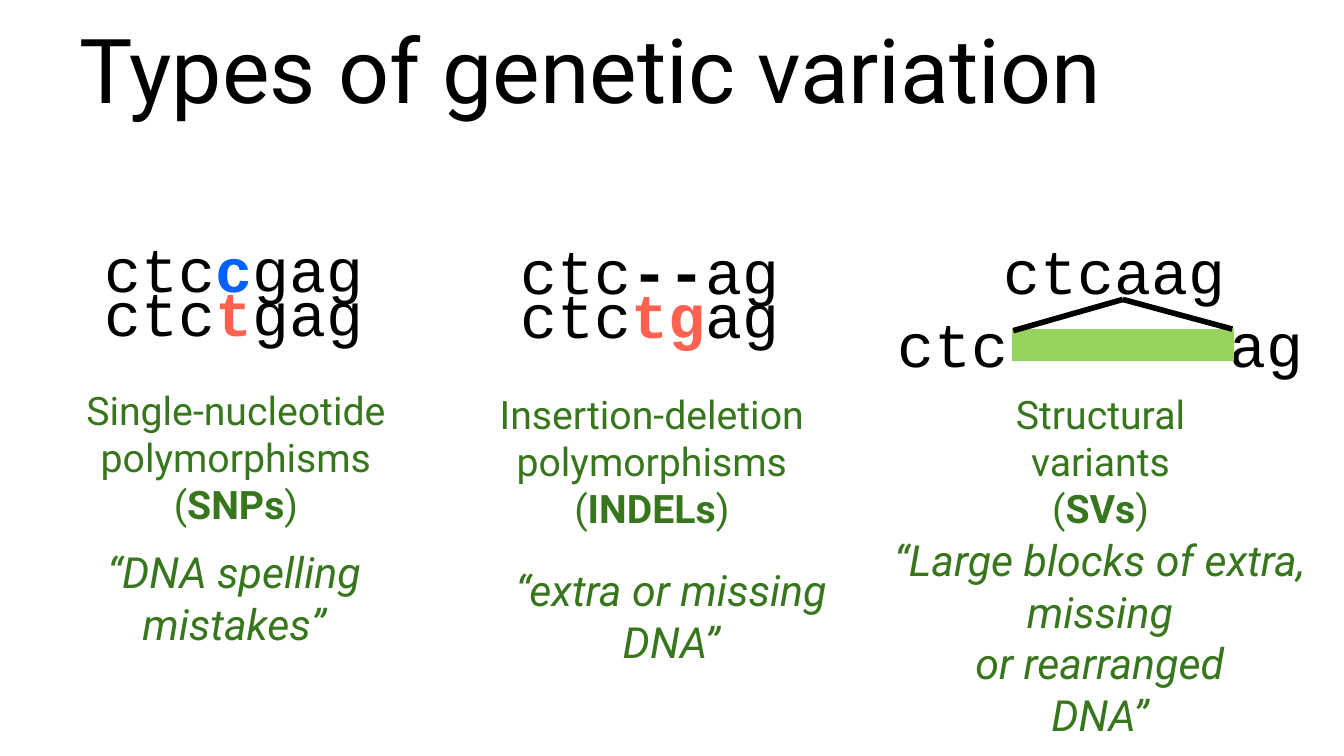
import pptx
import pptx.util
import pptx.dml.color
import pptx.enum.shapes
import pptx.enum.text
import pptx.oxml
import pptx.oxml.ns
from pptx.util import Cm

THEME = {
    "text": "000000", "label": "38761D", "changed": "FF6251",
    "reference": "0061FF", "block": "96D35F",
    "sans": "Roboto", "mono": "Courier New",
    "title_size": 48, "sequence_size": 33, "name_size": 21, "quote_size": 23,
    "inset": 0.1, "line_width": 3,
}

TITLE = "Types of genetic variation"
TITLE_BOX = (1.4, 0.38, 22.58, 1.78)

# A paragraph is a list of runs: (text, optional format).
# Each "at" is centre x, top, width, height in cm.
CHANGED = {"bold": True, "color": THEME["changed"]}
REFERENCE = {"bold": True, "color": THEME["reference"]}
BOLD = {"bold": True}
VARIANTS = [
    {
        "sequences": [
            {"runs": [("ctc",), ("t", CHANGED), ("gag",)], "at": (4.42, 5.28, 5.54, 1.22)},
            {"runs": [("ctc",), ("c", REFERENCE), ("gag",)], "at": (4.42, 4.45, 5.54, 1.22)},
        ],
        "name": ["Single-nucleotide", "polymorphisms"], "abbreviation": "SNPs",
        "name_at": (4.46, 7.47, 6.32, 2.34),
        "quote": ["“DNA spelling mistakes”"], "quote_at": (4.43, 10.82, 7.39, 0.94),
    },
    {
        "sequences": [
            {"runs": [("ctc",), ("tg", CHANGED), ("ag",)], "at": (12.29, 5.33, 5.54, 1.22)},
            {"runs": [("ctc",), ("--", BOLD), ("ag",)], "at": (12.29, 4.5, 5.54, 1.22)},
        ],
        "name": ["Insertion-deletion", "polymorphisms"], "abbreviation": "INDELs",
        "name_at": (12.32, 7.54, 6.3, 2.34),
        "quote": ["“extra or missing", "DNA”"], "quote_at": (12.69, 10.77, 6.88, 1.73),
    },
    {
        "sequences": [
            {"runs": [("ctc\tag",)], "at": (20.8, 5.87, 8.59, 1.22),
             "tab": 6.29, "left_inset": 0.45},
            {"runs": [("ctcaag",)], "at": (21.07, 4.5, 4.55, 1.22)},
        ],
        "name": ["Structural", "variants"], "abbreviation": "SVs",
        "name_at": (20.8, 7.54, 3.96, 2.34),
        "quote": ["“Large blocks of extra, missing", "or rearranged", "DNA”"],
        "quote_at": (20.79, 10.77, 8.46, 2.54),
    },
]
INSERTED_BLOCK = (19.13, 6.22, 4.19, 0.61)
INSERTION_POINT = (21.22, 5.66)
BLOCK_ENDS = [(19.15, 6.25), (23.29, 6.22)]


def rgb(color):
    return pptx.dml.color.RGBColor.from_string(color)


def write_text(frame, paragraphs, *, size, font, color, italic=None,
               align=pptx.enum.text.PP_ALIGN.CENTER, tab=None, left_inset=None):
    frame.word_wrap = True
    frame.auto_size = pptx.enum.text.MSO_AUTO_SIZE.NONE
    frame.vertical_anchor = pptx.enum.text.MSO_ANCHOR.MIDDLE
    inset = Cm(THEME["inset"])
    frame.margin_left = inset if left_inset is None else Cm(left_inset)
    frame.margin_right = frame.margin_top = frame.margin_bottom = inset
    for index, runs in enumerate(paragraphs):
        paragraph = frame.add_paragraph() if index else frame.paragraphs[0]
        paragraph.alignment = align
        if tab:
            properties = paragraph._p.get_or_add_pPr()
            properties.append(pptx.oxml.parse_xml(
                f'<a:tabLst {pptx.oxml.ns.nsdecls("a")}>'
                f'<a:tab pos="{Cm(tab)}" algn="l"/></a:tabLst>'))
        for text, *formats in runs:
            look = formats[0] if formats else {}
            run = paragraph.add_run()
            run.text = text
            run.font.size = pptx.util.Pt(size)
            run.font.name = font
            run.font.bold = look.get("bold", False)
            run.font.italic = italic
            run.font.color.rgb = rgb(look.get("color", color))


def add_centred_text(slide, at, paragraphs, **text_format):
    centre, top, width, height = at
    box = slide.shapes.add_textbox(Cm(centre - width / 2), Cm(top), Cm(width), Cm(height))
    write_text(box.text_frame, paragraphs, **text_format)


def add_variant(slide, variant):
    for sequence in variant["sequences"]:
        add_centred_text(
            slide, sequence["at"], [sequence["runs"]],
            size=THEME["sequence_size"], font=THEME["mono"], color=THEME["text"],
            tab=sequence.get("tab"), left_inset=sequence.get("left_inset"),
            align=pptx.enum.text.PP_ALIGN.LEFT if "tab" in sequence
            else pptx.enum.text.PP_ALIGN.CENTER)
    label = {"font": THEME["sans"], "color": THEME["label"]}
    name = [[(line,)] for line in variant["name"]]
    name.append([("(",), (variant["abbreviation"], BOLD), (")",)])
    add_centred_text(slide, variant["name_at"], name, size=THEME["name_size"], **label)
    quote = [[(line,)] for line in variant["quote"]]
    add_centred_text(slide, variant["quote_at"], quote,
                     size=THEME["quote_size"], italic=True, **label)


def add_insertion(slide):
    """Draw the inserted block and the two lines to where it belongs."""
    block = slide.shapes.add_shape(
        pptx.enum.shapes.MSO_SHAPE.RECTANGLE, *map(Cm, INSERTED_BLOCK))
    block.shadow.inherit = False
    block.fill.solid()
    block.fill.fore_color.rgb = rgb(THEME["block"])
    block.line.fill.background()
    for end in BLOCK_ENDS:
        line = slide.shapes.add_connector(
            pptx.enum.shapes.MSO_CONNECTOR.STRAIGHT, *map(Cm, INSERTION_POINT + end))
        line.line.color.rgb = rgb(THEME["text"])
        line.line.width = pptx.util.Pt(THEME["line_width"])
        line._element.spPr.append(pptx.oxml.parse_xml(
            f'<a:effectLst {pptx.oxml.ns.nsdecls("a")}/>'))


def main():
    deck = pptx.Presentation()
    deck.slide_width, deck.slide_height = Cm(25.4), Cm(14.29)
    slide = deck.slides.add_slide(deck.slide_layouts.get_by_name("Title Only"))
    title = slide.shapes.title
    title.left, title.top, title.width, title.height = map(Cm, TITLE_BOX)
    write_text(title.text_frame, [[(TITLE,)]], size=THEME["title_size"],
               font=THEME["sans"], color=THEME["text"],
               align=pptx.enum.text.PP_ALIGN.LEFT)
    for variant in VARIANTS:
        add_variant(slide, variant)
    add_insertion(slide)
    deck.save("out.pptx")


if __name__ == "__main__":
    main()
